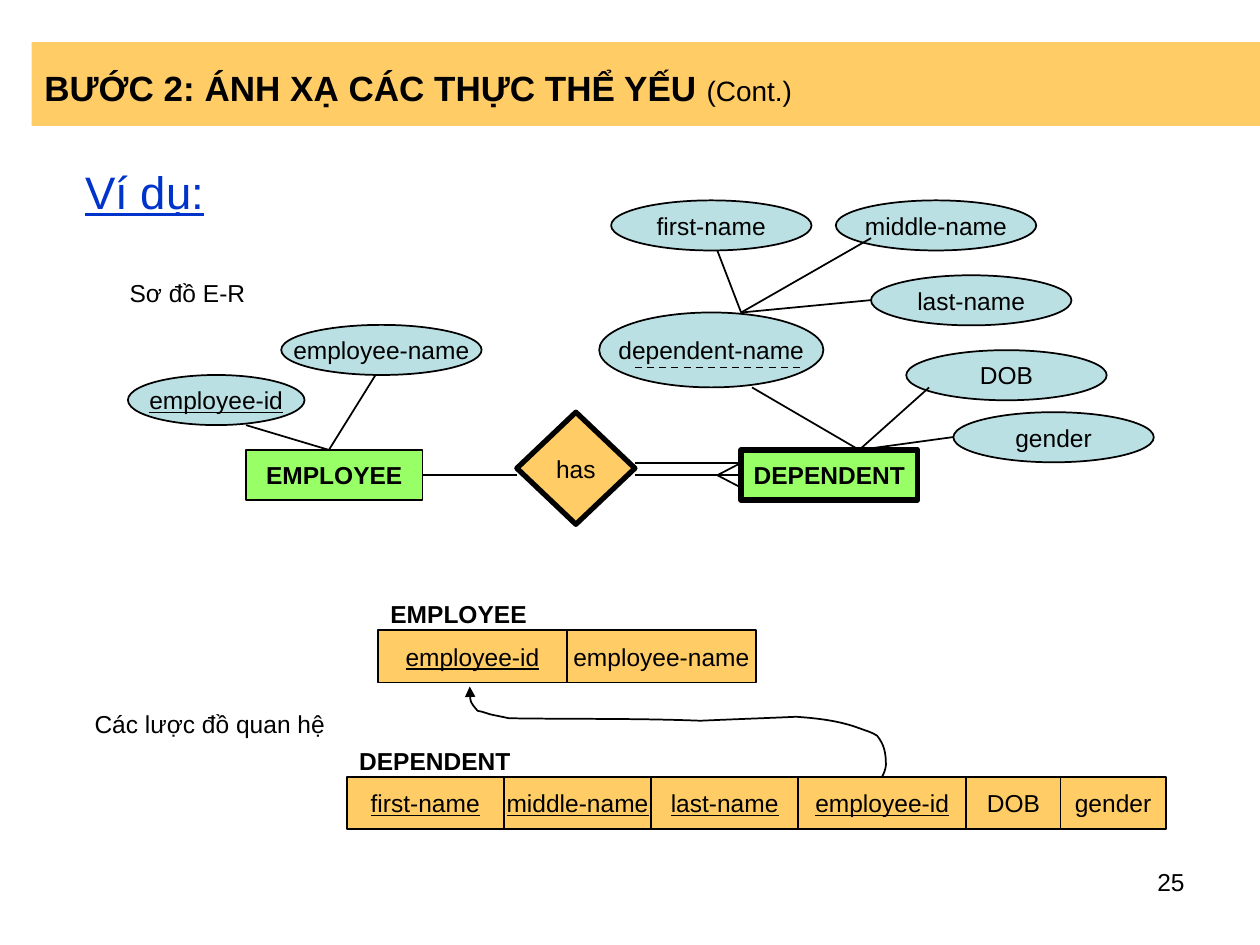
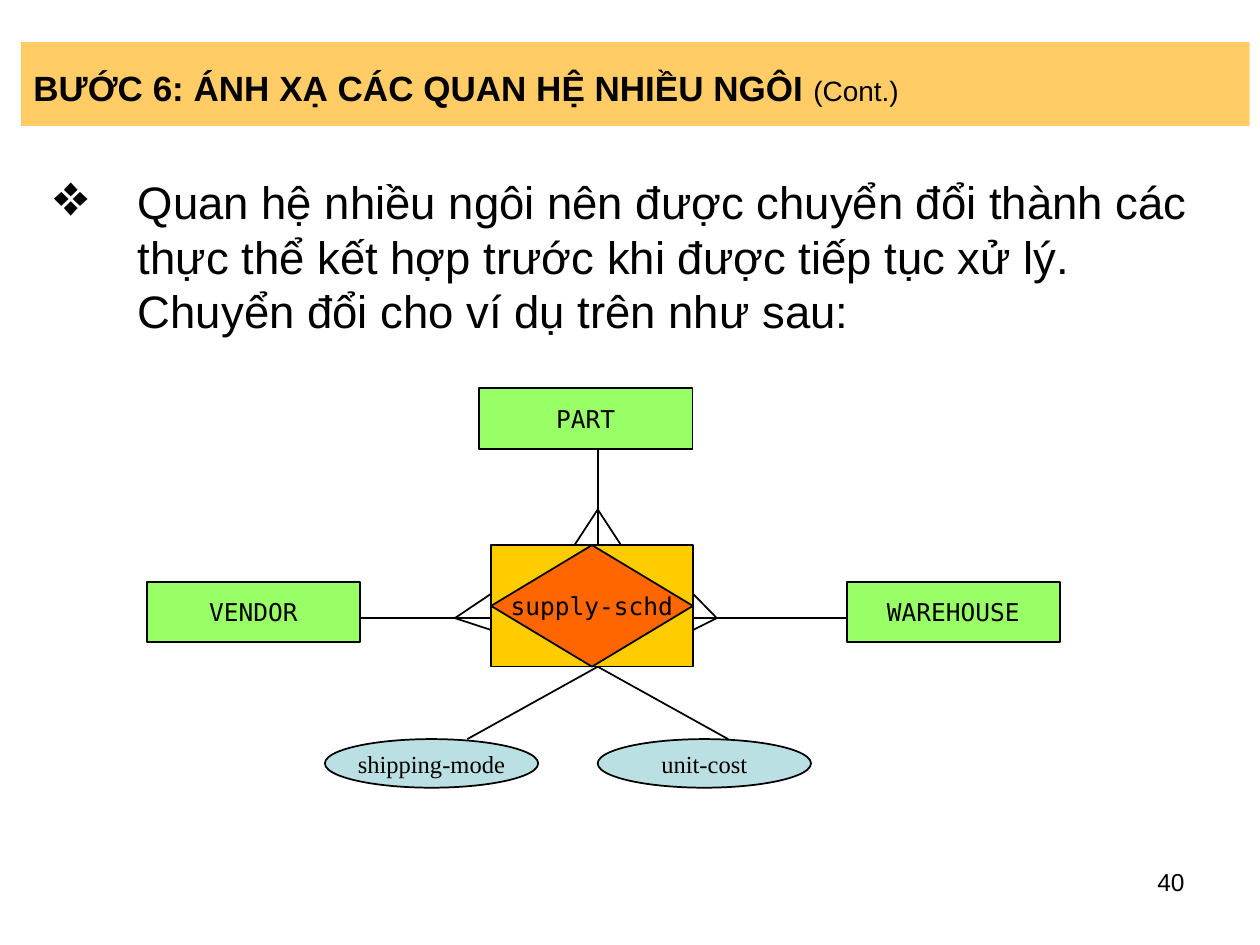
from dataclasses import dataclass
from lxml import etree
from pptx import Presentation
from pptx import util as u
from pptx.dml.color import RGBColor
from pptx.enum import dml, shapes, text
from pptx.oxml import ns


@dataclass(frozen=True)
class Theme:
    band: str = "FFCC66"
    entity: str = "99FF66"
    attribute: str = "BBE0E3"
    associative: str = "FFCC00"
    link: str = "FF6600"
    ink: str = "000000"
    accent: str = "0033CC"
    sans: str = "Arial"
    mono: str = "DejaVu Sans Mono"
    serif: str = "Times New Roman"
    title: int = 20
    suffix: int = 16
    body: int = 26
    label: int = 14
    thin: int = 1
    thick: int = 3


THEME = Theme()
SHAPE = shapes.MSO_SHAPE
ALIGN = text.PP_ALIGN

STYLES = {
    "entity": (SHAPE.RECTANGLE, THEME.entity, THEME.thin, {"bold": True}),
    "weak entity": (SHAPE.RECTANGLE, THEME.entity, THEME.thick, {"bold": True}),
    "relationship": (SHAPE.DIAMOND, THEME.band, THEME.thick, {}),
    "attribute": (SHAPE.OVAL, THEME.attribute, THEME.thin, {}),
    "key": (SHAPE.OVAL, THEME.attribute, THEME.thin, {"underline": True}),
    "column": (SHAPE.RECTANGLE, THEME.band, THEME.thin, {}),
    "key column": (SHAPE.RECTANGLE, THEME.band, THEME.thin, {"underline": True}),
    "party": (SHAPE.RECTANGLE, THEME.entity, THEME.thin, {"font": THEME.mono}),
    "associative": (SHAPE.RECTANGLE, THEME.associative, THEME.thin, {}),
    "link": (SHAPE.DIAMOND, THEME.link, THEME.thin, {"font": THEME.mono}),
    "detail": (SHAPE.OVAL, THEME.attribute, THEME.thin, {"font": THEME.serif}),
}

BOX = (3.56, 1.01)
OVAL = (4.04, 1.01)
PARTY = (4.3, 1.22)
DETAIL = (4.3, 0.98)
CORE = (9.9, 10.99, 4.07, 2.45)

WEAK_ENTITY = {
    "title": "BƯỚC 2: ÁNH XẠ CÁC THỰC THỂ YẾU ",
    "left": 0.64,
    "number": "25",
    "nodes": [
        ("entity", "EMPLOYEE", 4.96, 9.07, *BOX),
        ("weak entity", "DEPENDENT", 14.94, 9.07, *BOX),
        ("relationship", "has", 10.42, 8.31, 2.38, 2.26),
        ("key", "employee-id", 2.58, 7.56, *BOX),
        ("attribute", "employee-name", 5.67, 6.55, *OVAL),
        ("attribute", "dependent-name", 12.08, 6.3, 4.52, 1.51),
        ("attribute", "first-name", 12.32, 4.04, *OVAL),
        ("attribute", "middle-name", 16.85, 4.04, *OVAL),
        ("attribute", "last-name", 17.56, 5.55, *OVAL),
        ("attribute", "DOB", 18.27, 7.06, *OVAL),
        ("attribute", "gender", 19.22, 8.31, *OVAL),
    ],
    "fans": [
        ((8.53, 9.58), [(10.42, 9.58)]),
        ((12.8, 9.58), [(14.94, 9.58)]),
        ((12.8, 9.33), [(14.94, 9.33)]),
        ((14.46, 9.58), [(14.94, 9.33), (14.94, 9.83)]),
        ((6.63, 9.07), [(4.96, 8.57), (7.57, 7.56)]),
        ((17.32, 9.07), [(15.16, 7.81), (18.73, 7.81), (19.22, 8.81)]),
        ((14.94, 6.3), [(14.46, 5.05), (17.56, 4.8), (17.56, 6.05)]),
    ],
}
PARTIAL_KEY = ((12.8, 7.41), (16.12, 7.41))
CAPTIONS = [
    ("Sơ đồ E-R", 1.47, 5.36, 4.62, 1.09),
    ("Các lược đồ quan hệ", 1.23, 14.17, 6, 0.84),
]
ROW_HEIGHT = 1.06
RELATION_NAME_WIDTH = 4.5
RELATIONS = [
    ("EMPLOYEE", 7.62, 12.7, [
        ("key column", "employee-id", 3.81), ("column", "employee-name", 3.81)]),
    ("DEPENDENT", 6.99, 15.66, [
        ("key column", "first-name", 3.17), ("key column", "middle-name", 2.97),
        ("key column", "last-name", 2.96), ("key column", "employee-id", 3.39),
        ("column", "DOB", 1.9), ("column", "gender", 2.12)]),
]
FOREIGN_KEY = [
    (17.78, 15.66),
    (17.81, 15.62), (17.86, 15.49), (17.86, 15.42),
    (17.86, 15.19), (17.83, 15.01), (17.68, 14.83),
    (17.58, 14.76), (17.45, 14.73), (17.32, 14.68),
    (16.92, 14.53), (16.48, 14.48), (16.05, 14.45),
    (15.39, 14.48), (14.78, 14.5), (14.12, 14.53),
    (12.85, 14.48), (11.56, 14.5), (10.26, 14.48),
    (10.13, 14.45), (10.01, 14.43), (9.88, 14.4),
    (9.8, 14.38), (9.75, 14.35), (9.63, 14.33),
    (9.47, 14.15), (9.47, 14.07), (9.47, 13.84),
]

TERNARY = {
    "title": "BƯỚC 6: ÁNH XẠ CÁC QUAN HỆ NHIỀU NGÔI ",
    "left": 0.42,
    "number": "40",
    "nodes": [
        ("associative", "", *CORE),
        ("party", "PART", 9.66, 7.83, *PARTY),
        ("party", "VENDOR", 2.96, 11.73, *PARTY),
        ("party", "WAREHOUSE", 17.07, 11.73, *PARTY),
        ("link", "supply-schd", *CORE),
        ("detail", "shipping-mode", 6.55, 14.9, *DETAIL),
        ("detail", "unit-cost", 12.05, 14.9, *DETAIL),
    ],
    "fans": [
        ((7.27, 12.46), [(9.9, 12.46)]),
        ((13.97, 12.46), [(17.07, 12.46)]),
        ((12.05, 10.99), [(12.05, 9.05)]),
        ((12.05, 13.44), [(9.42, 14.9), (14.68, 14.9)]),
        ((9.17, 12.46), [(9.9, 11.97), (9.9, 12.7)]),
        ((14.45, 12.46), [(13.97, 11.97), (13.97, 12.7)]),
        ((12.05, 10.27), [(12.52, 10.99), (11.58, 10.99)]),
    ],
}
EXPLANATION = (
    "Quan hệ nhiều ngôi nên được chuyển đổi thành các thực thể kết hợp "
    "trước khi được tiếp tục xử lý. Chuyển đổi cho ví dụ trên như sau:"
)


def cm(*lengths):
    return [u.Cm(length) for length in lengths]


def color(value):
    return RGBColor.from_string(value)


def format_run(run, size=THEME.label, font=THEME.sans, ink=THEME.ink, bold=False, underline=False):
    run.font.size = u.Pt(size)
    run.font.name = font
    run.font.color.rgb = color(ink)
    run.font.bold = bold
    run.font.underline = underline


def write(shape, words, align=ALIGN.CENTER, wrap=False, anchor=text.MSO_ANCHOR.MIDDLE, **style):
    frame = shape.text_frame
    frame.text = words
    frame.word_wrap = wrap
    frame.vertical_anchor = anchor
    paragraph = frame.paragraphs[0]
    paragraph.alignment = align
    for run in paragraph.runs:
        format_run(run, **style)
    return paragraph


def add_text(slide, words, box, **style):
    return write(slide.shapes.add_textbox(*cm(*box)), words, **style)


def add_node(slide, kind, words, *box):
    preset, fill, width, style = STYLES[kind]
    shape = slide.shapes.add_shape(preset, *cm(*box))
    shape.shadow.inherit = False
    shape.fill.solid()
    shape.fill.fore_color.rgb = color(fill)
    shape.line.color.rgb = color(THEME.ink)
    shape.line.width = u.Pt(width)
    if words:
        write(shape, words, **style)


def add_line(slide, start, end):
    line = slide.shapes.add_connector(shapes.MSO_CONNECTOR.STRAIGHT, *cm(*start, *end))
    line.line.color.rgb = color(THEME.ink)
    line.line.width = u.Pt(THEME.thin)
    etree.SubElement(line.element.spPr, ns.qn("a:effectLst"))
    return line


def add_curved_arrow(slide, points):
    start, *rest = [cm(*point) for point in points]
    builder = slide.shapes.build_freeform(*start)
    builder.add_line_segments(rest, close=False)
    curve = builder.convert_to_shape()
    curve.shadow.inherit = False
    curve.fill.background()
    curve.line.color.rgb = color(THEME.ink)
    curve.line.width = u.Pt(THEME.thin)
    segments = list(curve.element.iter(ns.qn("a:lnTo")))
    outline = segments[0].getparent()
    for first in range(0, len(segments), 3):
        bezier = etree.SubElement(outline, ns.qn("a:cubicBezTo"))
        for segment in segments[first:first + 3]:
            bezier.append(segment[0])
            outline.remove(segment)
    outline_style = curve.element.spPr.find(ns.qn("a:ln"))
    etree.SubElement(outline_style, ns.qn("a:tailEnd"), type="triangle")


def hang(paragraph, bullet=None):
    paragraph.space_before = u.Pt(9.8)
    properties = paragraph._p.get_or_add_pPr()
    properties.set("marL", str(u.Cm(1.69)))
    properties.set("indent", str(u.Cm(-1.69)))
    if bullet:
        etree.SubElement(properties, ns.qn("a:buSzPct"), val="130000")
        etree.SubElement(properties, ns.qn("a:buChar"), char=bullet)


def add_title(slide, words, left):
    title = slide.shapes.title
    title.left, title.top, title.width, title.height = cm(left, 0.85, 24.77, 1.69)
    title.fill.solid()
    title.fill.fore_color.rgb = color(THEME.band)
    paragraph = write(title, words, ALIGN.LEFT, wrap=True, size=THEME.title, bold=True)
    title.text_frame.auto_size = text.MSO_AUTO_SIZE.NONE
    paragraph.line_spacing = 1.15
    suffix = paragraph.add_run()
    suffix.text = "(Cont.)"
    format_run(suffix, size=THEME.suffix)


def add_diagram_slide(presentation, content):
    slide = presentation.slides.add_slide(presentation.slide_layouts[5])
    add_title(slide, content["title"], content["left"])
    for node in content["nodes"]:
        add_node(slide, *node)
    for hub, ends in content["fans"]:
        for end in ends:
            add_line(slide, hub, end)
    add_text(slide, content["number"], (18.21, 17.35, 5.92, 1.32),
             align=ALIGN.RIGHT, wrap=True, anchor=text.MSO_ANCHOR.TOP)
    return slide


def add_relation(slide, name, left, top, columns):
    add_text(slide, name, (left, top - 0.85, RELATION_NAME_WIDTH, ROW_HEIGHT),
             align=ALIGN.LEFT, wrap=True, bold=True)
    for kind, words, width in columns:
        add_node(slide, kind, words, left, top, width, ROW_HEIGHT)
        left += width


def main():
    presentation = Presentation()
    presentation.slide_width, presentation.slide_height = cm(25.4, 19.05)

    slide = add_diagram_slide(presentation, WEAK_ENTITY)
    example = add_text(slide, "Ví dụ:", (1.47, 3.18, 22.43, 1.52), align=ALIGN.JUSTIFY,
                       wrap=True, anchor=text.MSO_ANCHOR.TOP,
                       size=THEME.body, ink=THEME.accent, underline=True)
    hang(example)
    add_line(slide, *PARTIAL_KEY).line.dash_style = dml.MSO_LINE.DASH
    for words, *box in CAPTIONS:
        add_text(slide, words, box, wrap=True)
    for relation in RELATIONS:
        add_relation(slide, *relation)
    add_curved_arrow(slide, FOREIGN_KEY)

    slide = add_diagram_slide(presentation, TERNARY)
    explanation = add_text(slide, EXPLANATION, (0.84, 3.39, 23.92, 15.66), align=ALIGN.LEFT,
                           wrap=True, anchor=text.MSO_ANCHOR.TOP, size=THEME.body)
    hang(explanation, "❖")

    presentation.save("out.pptx")


if __name__ == "__main__":
    main()
